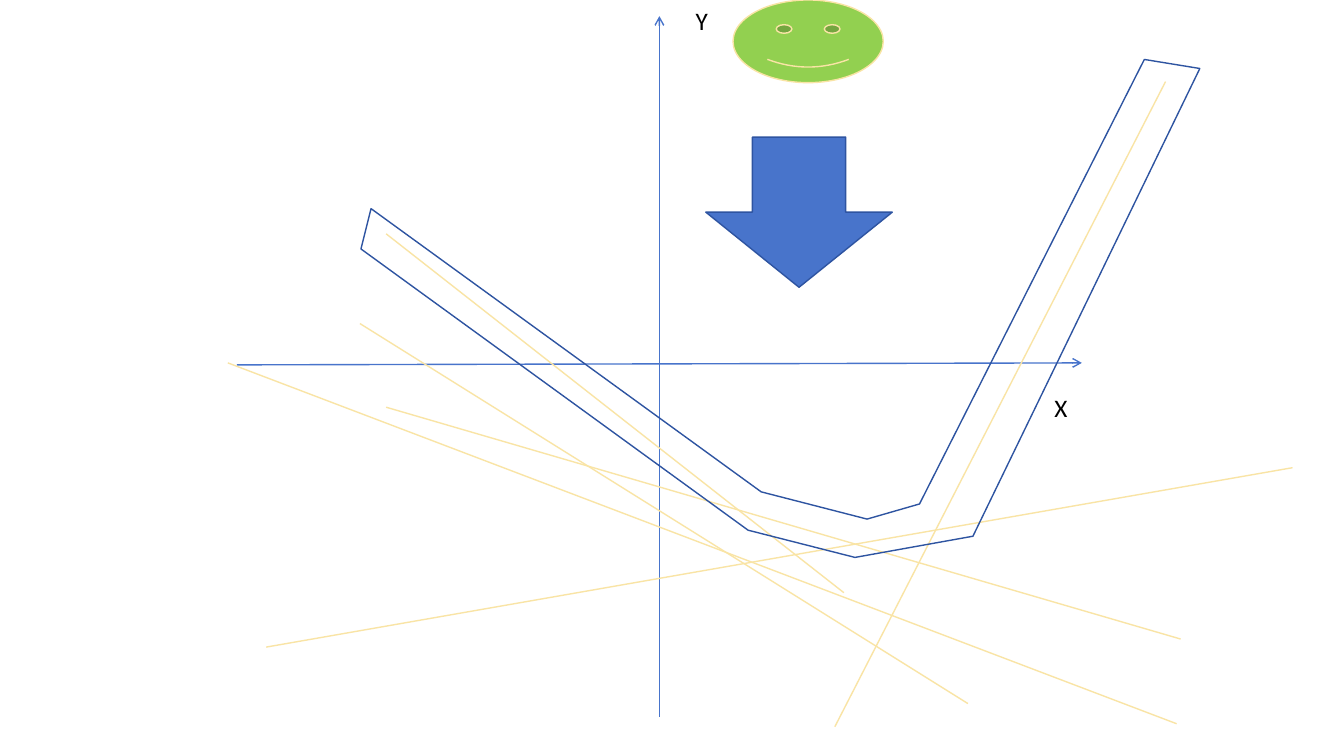
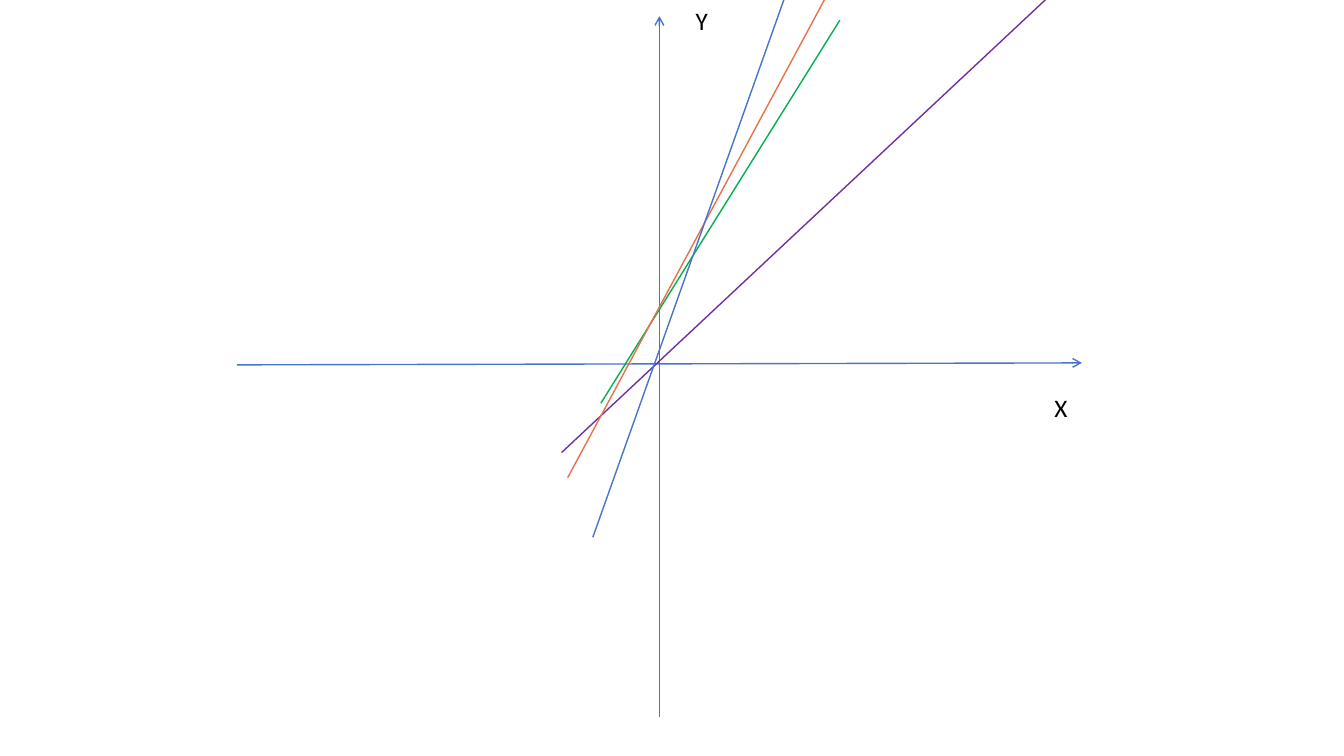
from lxml import etree
from pptx import Presentation
from pptx.dml.color import RGBColor
from pptx.enum.shapes import MSO_CONNECTOR, MSO_SHAPE
from pptx.enum.text import MSO_AUTO_SIZE
from pptx.oxml.ns import qn
from pptx.util import Inches, Pt

STRAIGHT = MSO_CONNECTOR.STRAIGHT
SMILEY = MSO_SHAPE.SMILEY_FACE
DOWN_ARROW = MSO_SHAPE.DOWN_ARROW
FIT_TEXT = MSO_AUTO_SIZE.SHAPE_TO_FIT_TEXT
BLANK_LAYOUT = 6

BLUE, NAVY, CREAM, LIME = "4874CB", "2E54A1", "F9E4A5", "92D050"
PURPLE, GREEN, ORANGE, BLACK = "7030A0", "00B050", "E6724B", "000000"

TANGENTS = [
    ((3.83, 2.32), (8.37, 5.88)),
    ((3.57, 3.21), (9.6, 6.98)),
    ((3.83, 4.04), (11.71, 6.34)),
    ((2.26, 3.6), (11.67, 7.18)),
    ((11.56, 0.81), (8.28, 7.21)),
    ((2.64, 6.42), (12.82, 4.64)),
]
VALLEY = [
    (3.68, 2.07), (3.58, 2.47), (7.42, 5.26), (8.48, 5.53), (9.65, 5.32),
    (11.9, 0.68), (11.35, 0.59), (9.12, 5), (8.6, 5.15), (7.55, 4.88),
]
SLOPES = [
    ((5.57, 4.49), (10.58, -0.2), PURPLE),
    ((5.96, 4), (8.33, 0.2), GREEN),
    ((8.53, -0.66), (5.63, 4.74), ORANGE),
    ((5.88, 5.33), (8.14, -1.03), BLUE),
]


def rgb(value):
    return RGBColor.from_string(value)


def write(box, text, *, size=18, font="Calibri", color=BLACK):
    span = box.text_frame.paragraphs[0].add_run()
    span.text = text
    span.font.size = Pt(size)
    span.font.name = font
    span.font.color.rgb = rgb(color)


class Plotter:
    """Draws axes, lines and shapes on the current slide in one style."""

    line_width = Pt(1)

    def __init__(self, deck):
        self.deck = deck
        self.page = None

    def start_page(self):
        self.page = self.deck.slides.add_slide(self.deck.slide_layouts[BLANK_LAYOUT])
        self.line((2.35, 3.62), (10.73, 3.6), BLUE, arrow=True)
        self.label("X", 10.36, 3.84)
        self.line((6.54, 7.11), (6.54, 0.16), BLUE, arrow=True)
        self.label("Y", 6.8, 0)

    def outline(self, item, color):
        item.line.color.rgb = rgb(color)
        item.line.width = self.line_width

    def line(self, start, end, color, arrow=False):
        ends = [Inches(value) for value in (*start, *end)]
        connector = self.page.shapes.add_connector(STRAIGHT, *ends)
        self.outline(connector, color)
        properties = connector._element.spPr
        if arrow:
            etree.SubElement(properties.find(qn("a:ln")), qn("a:tailEnd"), type="arrow")
        etree.SubElement(properties, qn("a:effectLst"))

    def label(self, text, left, top):
        box = self.page.shapes.add_textbox(
            Inches(left), Inches(top), Inches(1.32), Inches(0.4))
        box.text_frame.word_wrap = True
        box.text_frame.auto_size = FIT_TEXT
        write(box, text)

    def shape(self, kind, left, top, width, height, fill, edge):
        shape = self.page.shapes.add_shape(
            kind, Inches(left), Inches(top), Inches(width), Inches(height))
        shape.shadow.inherit = False
        shape.fill.solid()
        shape.fill.fore_color.rgb = rgb(fill)
        self.outline(shape, edge)

    def polygon(self, points, edge):
        corners = [(Inches(x), Inches(y)) for x, y in points]
        builder = self.page.shapes.build_freeform(*corners[0])
        builder.add_line_segments(corners[1:], close=True)
        shape = builder.convert_to_shape()
        shape.shadow.inherit = False
        shape.fill.background()
        self.outline(shape, edge)


def main():
    deck = Presentation()
    deck.slide_width, deck.slide_height = Inches(13.33), Inches(7.5)
    plotter = Plotter(deck)

    plotter.start_page()
    for start, end in TANGENTS:
        plotter.line(start, end, CREAM)
    plotter.shape(SMILEY, 7.27, 0, 1.49, 0.82, LIME, CREAM)
    plotter.shape(DOWN_ARROW, 7, 1.36, 1.85, 1.49, BLUE, NAVY)
    plotter.polygon(VALLEY, NAVY)

    plotter.start_page()
    for start, end, color in SLOPES:
        plotter.line(start, end, color)

    deck.save("out.pptx")


if __name__ == "__main__":
    main()
